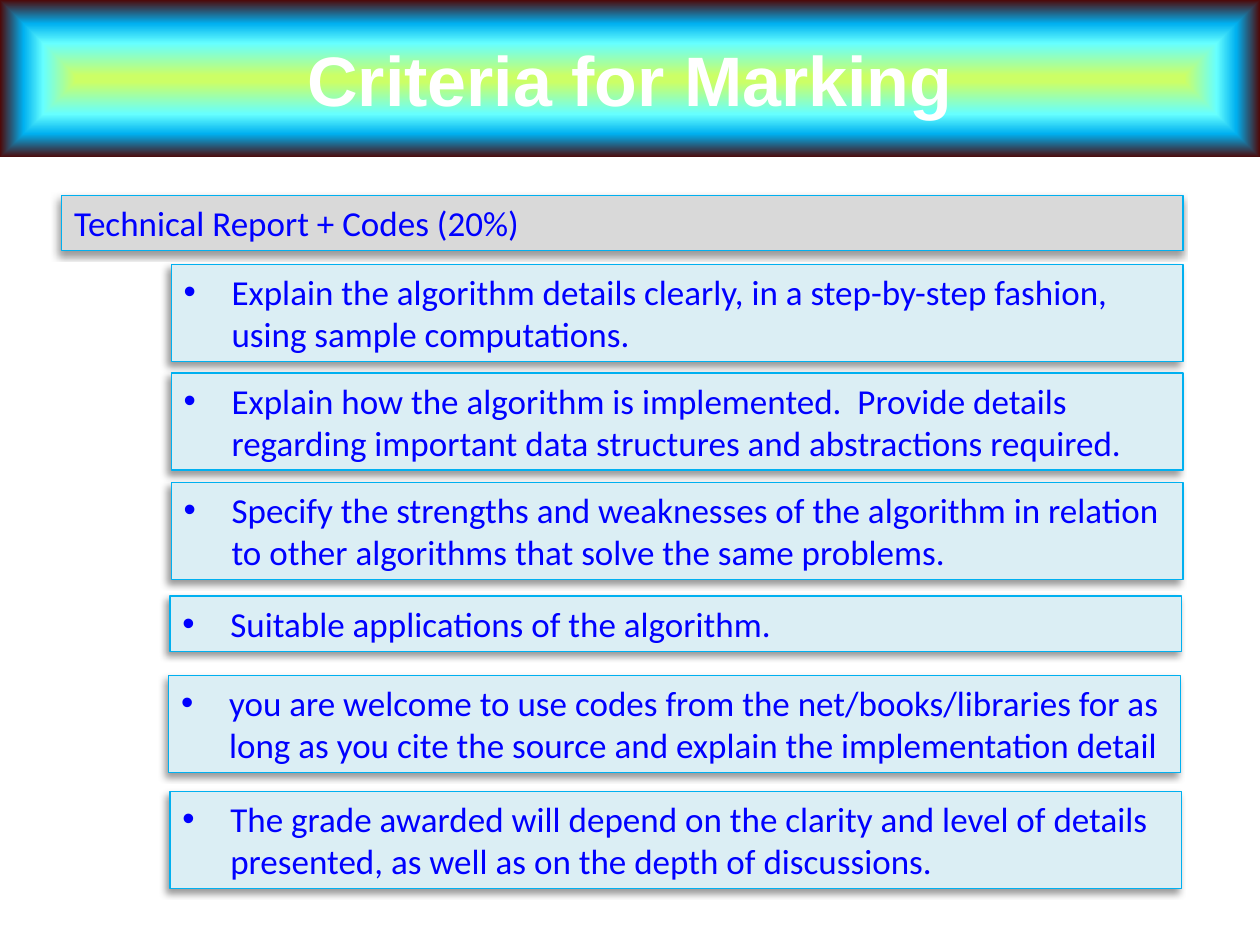
from dataclasses import dataclass

from lxml import etree
from pptx import Presentation
from pptx import util as u
from pptx.dml.color import RGBColor
from pptx.enum import shapes, text
from pptx.oxml import ns


@dataclass(frozen=True)
class Theme:
    title_font: str = "Arial"
    body_font: str = "Calibri"
    title_size: int = 40
    body_size: int = 20
    title_color: str = "FFFFFF"
    body_color: str = "0000FF"
    heading_fill: str = "D9D9D9"
    criterion_fill: str = "DBEEF4"
    border: str = "00B0F0"
    shadow: str = "000000"
    banner_stops: tuple = ((4, "CCFF66"), (45, "66FFFF"), (70, "00B0F0"), (100, "4D0808"))


def add_xml(parent, tag, **attributes):
    values = {name: str(value) for name, value in attributes.items()}
    return etree.SubElement(parent, ns.qn(tag), values)


class SlideBuilder:
    def __init__(self, slide, theme):
        self.slide = slide
        self.theme = theme

    def rectangle(self, left, top, width, height):
        box = self.slide.shapes.add_shape(
            shapes.MSO_SHAPE.RECTANGLE, *map(u.Inches, (left, top, width, height)))
        box.shadow.inherit = False
        return box

    def add_words(self, box, words, align, anchor, color, **font_format):
        frame = box.text_frame
        frame.word_wrap = True
        frame.vertical_anchor = anchor
        paragraph = frame.paragraphs[0]
        paragraph.alignment = align
        run = paragraph.add_run()
        run.text = words
        for name, value in font_format.items():
            setattr(run.font, name, value)
        run.font.color.rgb = RGBColor.from_string(color)
        return paragraph

    def banner(self, words, width, height):
        box = self.rectangle(0, 0, width, height)
        box.line.fill.background()

        # Gradient running from the centre out to the edges
        geometry = box._element.spPr.find(ns.qn("a:prstGeom"))
        gradient = etree.Element(ns.qn("a:gradFill"), rotWithShape="1")
        stops = add_xml(gradient, "a:gsLst")
        for percent, color in self.theme.banner_stops:
            stop = add_xml(stops, "a:gs", pos=percent * 1000)
            add_xml(stop, "a:srgbClr", val=color)
        spread = add_xml(gradient, "a:path", **{"path": "shape"})
        add_xml(spread, "a:fillToRect", l=50000, t=50000, r=50000, b=50000)
        geometry.addnext(gradient)

        self.add_words(box, words, text.PP_ALIGN.CENTER, text.MSO_ANCHOR.MIDDLE,
                       self.theme.title_color, name=self.theme.title_font,
                       size=u.Pt(self.theme.title_size), bold=True)

    def panel(self, words, left, top, width, height, fill):
        box = self.rectangle(left, top, width, height)
        box.fill.solid()
        box.fill.fore_color.rgb = RGBColor.from_string(fill)
        box.line.color.rgb = RGBColor.from_string(self.theme.border)
        box.line.width = u.Pt(0.75)
        self.drop_shadow(box)
        paragraph = self.add_words(
            box, words, text.PP_ALIGN.LEFT, text.MSO_ANCHOR.TOP, self.theme.body_color,
            name=self.theme.body_font, size=u.Pt(self.theme.body_size))
        box.text_frame.auto_size = text.MSO_AUTO_SIZE.SHAPE_TO_FIT_TEXT
        return paragraph

    def drop_shadow(self, box):
        effects = box._element.spPr.find(ns.qn("a:effectLst"))
        shadow = add_xml(effects, "a:outerShdw", blurRad=u.Pt(4), dist=u.Pt(3),
                         dir=135 * 60000, algn="tr", rotWithShape=0)
        color = add_xml(shadow, "a:srgbClr", val=self.theme.shadow)
        add_xml(color, "a:alpha", val=40000)

    def criterion(self, words, left, top, width, height):
        paragraph = self.panel(words, left, top, width, height, self.theme.criterion_fill)
        properties = paragraph._p.get_or_add_pPr()
        indent = u.Inches(0.38)
        properties.set("marL", str(indent))
        properties.set("indent", str(-indent))
        add_xml(properties, "a:buFont", typeface="Arial")
        add_xml(properties, "a:buChar", char="•")


ONE_LINE, TWO_LINES = 0.44, 0.77

# Left, top, height and wording of each criterion
CRITERIA = [
    (1.36, 2.1, TWO_LINES, "Explain the algorithm details clearly, in a step-by-step fashion, "
     "using sample computations."),
    (1.36, 2.96, TWO_LINES, "Explain how the algorithm is implemented.  Provide details "
     "regarding important data structures and abstractions required."),
    (1.36, 3.83, TWO_LINES, "Specify the strengths and weaknesses of the algorithm in relation "
     "to other algorithms that solve the same problems."),
    (1.35, 4.73, ONE_LINE, "Suitable applications of the algorithm."),
    (1.34, 5.36, TWO_LINES, "you are welcome to use codes from the net/books/libraries for as "
     "long as you cite the source and explain the implementation detail"),
    (1.35, 6.28, TWO_LINES, "The grade awarded will depend on the clarity and level of details "
     "presented, as well as on the depth of discussions."),
]


def main():
    deck = Presentation()
    deck.slide_width, deck.slide_height = u.Inches(10), u.Inches(7.5)
    theme = Theme()
    builder = SlideBuilder(deck.slides.add_slide(deck.slide_layouts[6]), theme)

    # Title banner
    builder.banner("Criteria for Marking", 10, 1.25)

    # Section heading
    builder.panel("Technical Report + Codes (20%)", 0.49, 1.55, 8.9, ONE_LINE,
                  theme.heading_fill)

    # Marking criteria
    for left, top, height, words in CRITERIA:
        builder.criterion(words, left, top, 8.03, height)

    deck.save("out.pptx")


if __name__ == "__main__":
    main()
